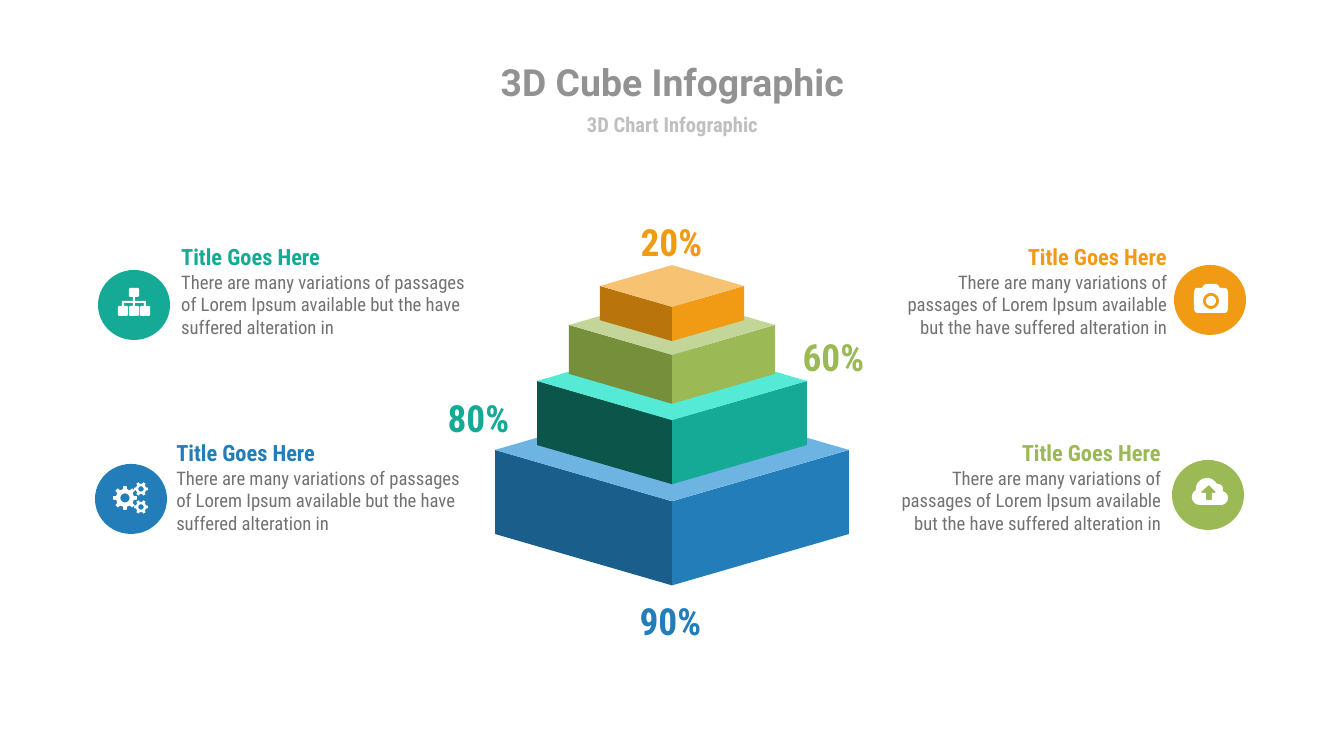
"""Build the 3D cube infographic slide."""
from math import cos, radians, sin

from pptx import Presentation
from pptx.dml.color import RGBColor
from pptx.enum import shapes, text
from pptx.util import Emu, Pt

PX = 914400 / 134.4
BLUE, TEAL, GREEN, ORANGE = "237DB9", "15AA96", "9BB955", "F19B14"
WHITE, GREY = "FFFFFF", "727272"
CONDENSED = "Roboto Condensed"
LEFT, CENTER, RIGHT = text.PP_ALIGN.LEFT, text.PP_ALIGN.CENTER, text.PP_ALIGN.RIGHT
TOP, MIDDLE, BOTTOM = text.MSO_ANCHOR.TOP, text.MSO_ANCHOR.MIDDLE, text.MSO_ANCHOR.BOTTOM

HEADINGS = [
    ("3D Cube Infographic", (258, 56, 829, 52), 20, "Roboto", "929292"),
    ("3D Chart Infographic", (370, 109, 605, 30), 11, CONDENSED, "BFBFBF"),
]
TITLE = "Title Goes Here"
BODY = ("There are many variations of passages of Lorem Ipsum available "
        "but the have suffered alteration in")
ITEMS = [
    (BLUE, (163, 433, 317, 132), LEFT, (131, 499), "gears"),
    (ORANGE, (892, 237, 288, 132), RIGHT, (1210, 300), "camera"),
    (TEAL, (168, 237, 317, 132), LEFT, (134, 305), "tree"),
    (GREEN, (886, 433, 288, 132), RIGHT, (1208, 495), "cloud"),
]
PERCENTS = [
    ("90%", BLUE, 633, 597),
    ("20%", ORANGE, 634, 218),
    ("80%", TEAL, 441, 394),
    ("60%", GREEN, 796, 333),
]
AXIS, DEPTH, HEIGHT = 672, 0.29, 0.475
TIERS = [
    (177, 450, "1A5E8B", BLUE, "6DB4E3"),
    (135, 381, "0B554B", TEAL, "55EAD6"),
    (103, 325, "768F3B", GREEN, "C3D599"),
    (72, 286, "B9750B", ORANGE, "F7C372"),
]


def arc(x, y, r, start=0, end=350, steps=35):
    angles = [radians(start + (end - start) * i / steps) for i in range(steps + 1)]
    return [(x + r * cos(a), y + r * sin(a)) for a in angles]


def gear(x, y, r, teeth):
    step = 360 / teeth
    rim = []
    for i in range(teeth):
        for radius, offset in ((0.75, -0.28), (1, -0.18), (1, 0.18), (0.75, 0.28)):
            a = radians(step * (i + offset))
            rim.append((x + r * radius * cos(a), y + r * radius * sin(a)))
    return [rim, arc(x, y, r * 0.38)]


def box(left, top, right, bottom, cut=1):
    return [(left + cut, top), (right - cut, top), (right, top + cut), (right, bottom - cut),
            (right - cut, bottom), (left + cut, bottom), (left, bottom - cut), (left, top + cut)]


ICONS = {
    "gears": gear(-6, -1, 12, 8) + gear(10, -10, 7, 6) + gear(10, 8, 7, 6),
    "tree": [
        box(-5, -17, 5, -8), box(-16, 1, -6, 11), box(-5, 1, 5, 11), box(6, 1, 16, 11),
        [(-1, -8), (1, -8), (1, -4), (12, -4), (12, 1), (10, 1), (10, -2), (1, -2),
         (1, 1), (-1, 1), (-1, -2), (-10, -2), (-10, 1), (-12, 1), (-12, -4), (-1, -4)],
    ],
    "cloud": [
        arc(-8, 2, 8, 90, 240) + arc(-1, -6, 11, 180, 330)
        + arc(10, -6, 5, 270, 380) + arc(13, 3, 7, -80, 90),
        [(1, -10), (8, -3), (7, -2), (4, -2), (4, 5), (-2, 5), (-2, -2), (-6, -2), (-7, -3)],
    ],
    "camera": [
        [(-13, -12), (-8, -12), (-6, -15), (-4, -16), (6, -16), (8, -15), (10, -12),
         (15, -12), (17, -11), (18, -8), (18, 9), (17, 12), (15, 13),
         (-13, 13), (-15, 12), (-16, 9), (-16, -8), (-15, -11)],
        arc(1, 1, 8), arc(1, 1, 5),
    ],
}

deck = Presentation()
deck.slide_width, deck.slide_height = Emu(round(1344 * PX)), Emu(round(756 * PX))
slide = deck.slides.add_slide(deck.slide_layouts[6])


def rgb(color):
    return RGBColor.from_string(color)


def emu(*lengths):
    return [Emu(round(n * PX)) for n in lengths]


def paint(shape, color):
    shape.shadow.inherit = False
    shape.fill.solid()
    shape.fill.fore_color.rgb = rgb(color)
    shape.line.fill.background()


def outline(contours, color, x=0, y=0):
    moved = [[emu(px + x, py + y) for px, py in contour] for contour in contours]
    builder = slide.shapes.build_freeform(*moved[0][0], scale=1.0)
    for i, contour in enumerate(moved):
        if i:
            builder.move_to(*contour[0])
        builder.add_line_segments(contour[1:], close=True)
    paint(builder.convert_to_shape(), color)


def write(lines, place, align, anchor, inset=True, wrap=False):
    label = slide.shapes.add_textbox(*emu(*place))
    frame = label.text_frame
    frame.word_wrap = wrap
    frame.vertical_anchor = anchor
    if not inset:
        frame.margin_left = frame.margin_right = frame.margin_top = frame.margin_bottom = 0
    for i, (words, size, font, color, bold) in enumerate(lines):
        line = frame.add_paragraph() if i else frame.paragraphs[0]
        line.text = words
        line.alignment = align
        line.font.size, line.font.name, line.font.bold = Pt(size), font, bold
        line.font.color.rgb = rgb(color)


for words, place, size, font, color in HEADINGS:
    write([(words, size, font, color, True)], place, CENTER, MIDDLE, inset=False)

for words, color, left, top in PERCENTS:
    write([(words, 20, CONDENSED, color, True)], (left, top, 75, 46), CENTER, BOTTOM, inset=False)

for half, side, dark, front, lid in TIERS:
    depth, height = half * DEPTH, half * HEIGHT
    near = side + depth
    for edge, color in ((-half, dark), (half, front)):
        outline([[(0, near), (edge, side), (edge, side + height), (0, near + height)]],
                color, AXIS)
    outline([[(0, near), (-half, side), (0, side - depth), (half, side)]], lid, AXIS)

for color, place, align, (x, y), icon in ITEMS:
    write([(TITLE, 12, CONDENSED, color, True), (BODY, 10, CONDENSED, GREY, False)],
          place, align, TOP, wrap=True)
    disc = slide.shapes.add_shape(shapes.MSO_SHAPE.OVAL, *emu(x - 36, y - 35, 72, 70))
    paint(disc, color)
    outline(ICONS[icon], WHITE, x, y)

deck.save("out.pptx")
